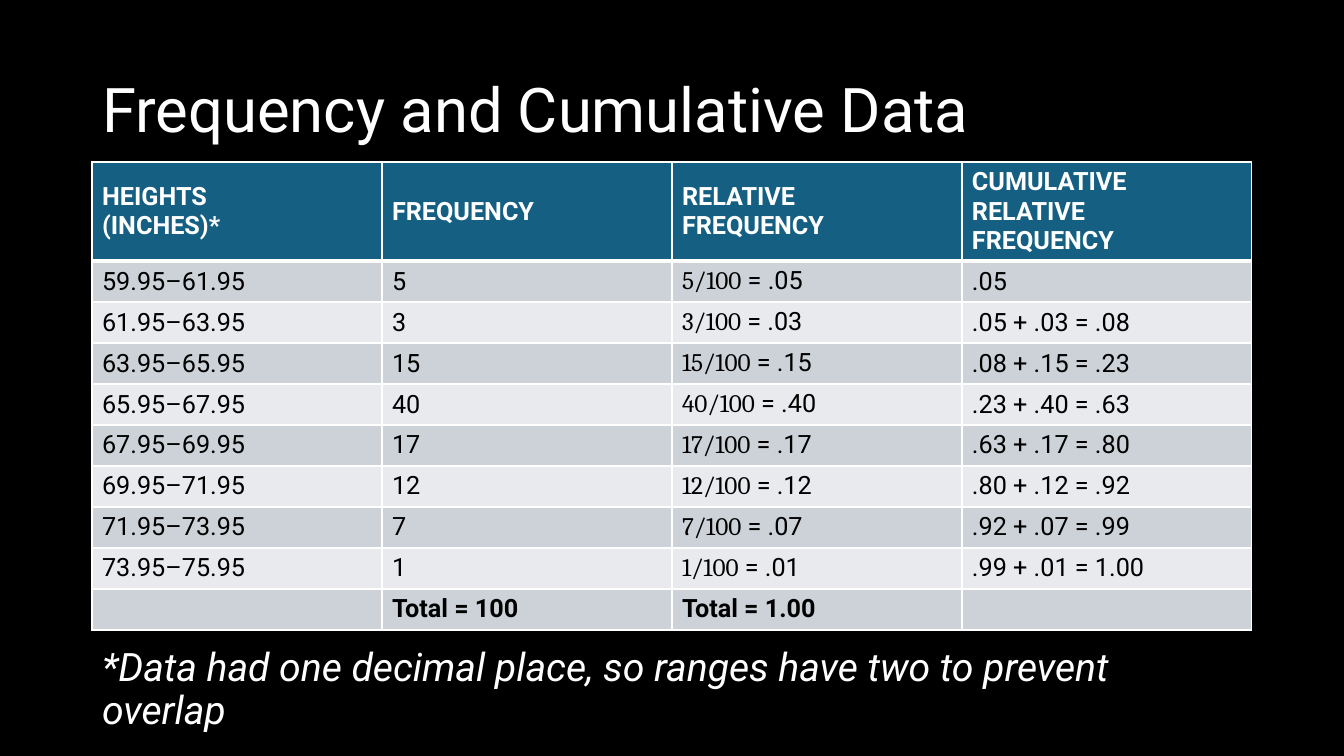
from dataclasses import dataclass
from itertools import accumulate

from lxml import etree
from pptx import Presentation
from pptx import util as u
from pptx.dml.color import RGBColor
from pptx.enum import text
from pptx.oxml import ns

W, H = 1344, 756
EMU_PER_PX = 914400 / 100.8


@dataclass(frozen=True)
class Theme:
    font: str = "Roboto"
    math_font: str = "Cambria"
    background: str = "000000"
    light: str = "FFFFFF"
    dark: str = "000000"
    header: str = "156082"
    bands: tuple = ("CCD2D8", "E8EAED")
    title_size: int = 44
    note_size: int = 28
    cell_size: int = 18
    rule: int = 1
    header_rule: int = 3


def px(n):
    return u.Emu(round(n * EMU_PER_PX))


def share(n):
    """Write a count out of 100 as a decimal without its leading zero."""
    return f"{n / 100:.2f}".lstrip("0")


class Deck:
    def __init__(self, theme):
        self.theme = theme
        self.prs = Presentation()
        self.prs.slide_width, self.prs.slide_height = px(W), px(H)
        self.s = self.prs.slides.add_slide(self.prs.slide_layouts[1])
        fill = self.s.background.fill
        fill.solid()
        fill.fore_color.rgb = RGBColor.from_string(theme.background)

    def format_run(self, r, size, color, bold=False, italic=False, font=None):
        r.font.name = font or self.theme.font
        r.font.size = u.Pt(size)
        r.font.bold, r.font.italic = bold, italic
        r.font.color.rgb = RGBColor.from_string(color)

    def placeholder(self, sp, box, words, size, anchor, before=0, italic=False):
        sp.left, sp.top, sp.width, sp.height = map(px, box)
        tf = sp.text_frame
        tf.text = words
        tf.word_wrap = True
        tf.auto_size = text.MSO_AUTO_SIZE.NONE
        tf.vertical_anchor = anchor
        p = tf.paragraphs[0]
        p.alignment = text.PP_ALIGN.LEFT
        p.line_spacing = 0.9
        p.space_before = u.Pt(before)
        pPr = p._p.get_or_add_pPr()
        pPr.set("marL", "0")
        pPr.set("indent", "0")
        etree.SubElement(pPr, ns.qn("a:buNone"))
        self.format_run(p.runs[0], size, self.theme.light, italic=italic)

    def title(self, box, words):
        self.placeholder(self.s.shapes.title, box, words, self.theme.title_size,
                         text.MSO_ANCHOR.MIDDLE)

    def note(self, box, words):
        self.placeholder(self.s.placeholders[1], box, words, self.theme.note_size,
                         text.MSO_ANCHOR.TOP, before=10, italic=True)

    def borders(self, cell, top, bottom):
        tcPr = cell._tc.get_or_add_tcPr()
        rule = self.theme.rule
        for side, width in zip("LRTB", (rule, rule, top, bottom)):
            ln = etree.SubElement(tcPr, ns.qn(f"a:ln{side}"), w=str(u.Pt(width)))
            solid = etree.SubElement(ln, ns.qn("a:solidFill"))
            etree.SubElement(solid, ns.qn("a:srgbClr"), val=self.theme.light)

    def cell(self, cell, parts, fill, color, bold, top, bottom):
        self.borders(cell, top, bottom)
        cell.fill.solid()
        cell.fill.fore_color.rgb = RGBColor.from_string(fill)
        cell.vertical_anchor = text.MSO_ANCHOR.MIDDLE
        p = cell.text_frame.paragraphs[0]
        # A pair holds a fraction in the math font and the words after it
        if isinstance(parts, tuple):
            fonts = (self.theme.math_font, self.theme.font)
            for words, font in zip(parts, fonts):
                r = p.add_run()
                r.text = words
                self.format_run(r, self.theme.cell_size, color, bold, font=font)
        elif parts:
            p.text = parts
            for r in p.runs:
                self.format_run(r, self.theme.cell_size, color, bold)

    def table(self, left, top, col_width, heights, rows):
        t = self.theme
        n_rows, n_cols = len(rows), len(rows[0])
        table = self.s.shapes.add_table(
            n_rows, n_cols, px(left), px(top),
            px(col_width * n_cols), px(sum(heights))).table
        for col in table.columns:
            col.width = px(col_width)
        for i, row in enumerate(rows):
            table.rows[i].height = px(heights[i])
            head = i == 0
            for j, parts in enumerate(row):
                self.cell(table.cell(i, j), parts,
                          fill=t.header if head else t.bands[(i - 1) % 2],
                          color=t.light if head else t.dark,
                          bold=head or i == n_rows - 1,
                          top=t.header_rule if i == 1 else t.rule,
                          bottom=t.header_rule if head else t.rule)


def frequency_rows():
    counts = [5, 3, 15, 40, 17, 12, 7, 1]
    rows = [["HEIGHTS \n(INCHES)*", "FREQUENCY", "RELATIVE \nFREQUENCY",
             "CUMULATIVE \nRELATIVE \nFREQUENCY"]]
    for i, (n, total) in enumerate(zip(counts, accumulate(counts))):
        low = 59.95 + 2 * i
        before = f"{share(total - n)} + {share(n)} = " if i else ""
        rows.append([f"{low:.2f}–{low + 2:.2f}", str(n),
                     (f"{n}/100", f" = {share(n)}"), before + share(total)])
    total = sum(counts)
    rows.append(["", f"Total = {total}", f"Total = {share(total)}", ""])
    return rows


def main():
    deck = Deck(Theme())
    # Title and footnote
    deck.title((92, 40, 1160, 146), "Frequency and Cumulative Data")
    deck.note((92, 643, 1160, 78),
              "*Data had one decimal place, so ranges have two to prevent overlap")
    # Frequency table: a tall header over even rows
    rows = frequency_rows()
    deck.table(92, 162, 290, [99] + [41] * (len(rows) - 1), rows)
    deck.prs.save("out.pptx")


if __name__ == "__main__":
    main()
